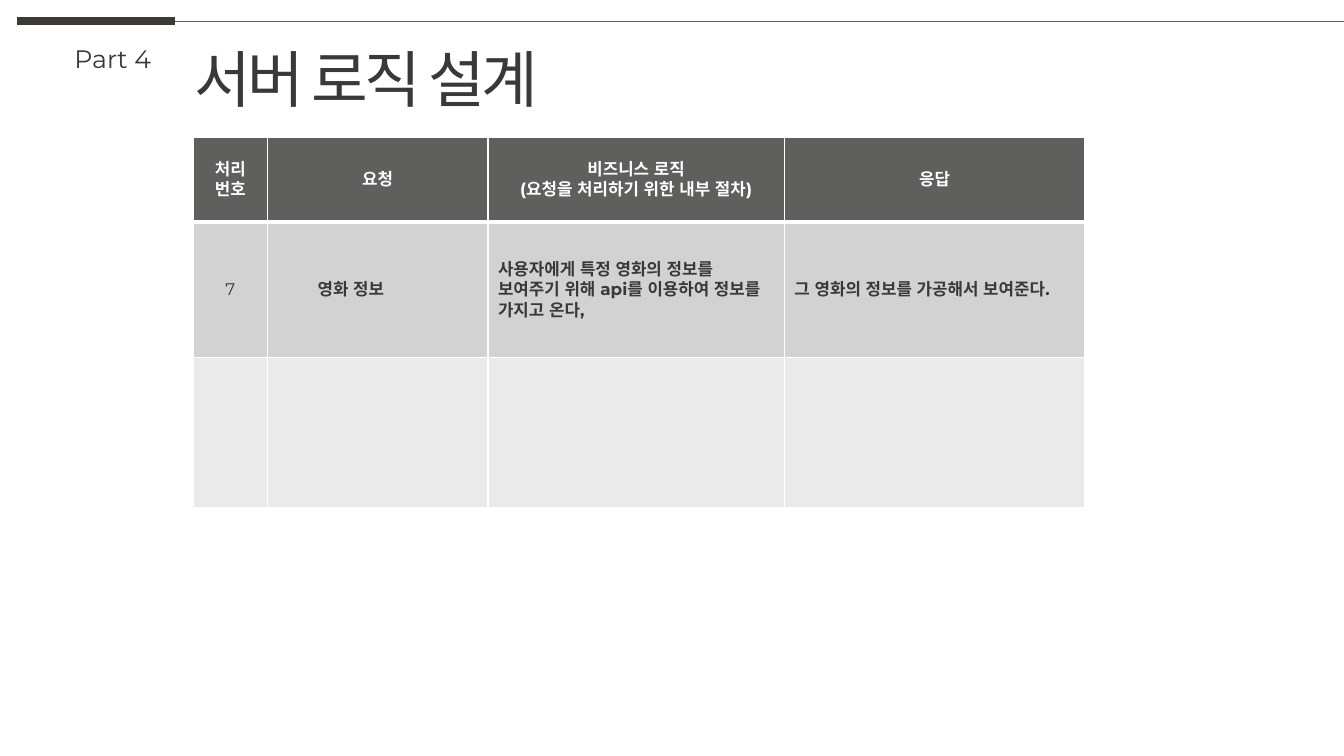
"""Build the server logic design slide with its request table."""
from lxml.etree import SubElement
from pptx import Presentation
from pptx.dml.color import RGBColor
from pptx.enum.shapes import MSO_CONNECTOR
from pptx.enum.text import MSO_ANCHOR, MSO_AUTO_SIZE, PP_ALIGN
from pptx.oxml import parse_xml
from pptx.oxml.ns import nsdecls, qn
from pptx.util import Inches, Pt

FONT = "Montserrat"
WHITE = RGBColor(0xFF, 0xFF, 0xFF)
INK = RGBColor(0x3A, 0x38, 0x38)
BROWN = RGBColor(0x3D, 0x3A, 0x35)
GREY = RGBColor(0x5F, 0x5F, 0x5D)
ROW_FILLS = [GREY, RGBColor(0xD2, 0xD2, 0xD2), RGBColor(0xEA, 0xEA, 0xEA)]
COLUMN_WIDTHS = [0.73, 2.19, 2.94, 2.98]
ROW_HEIGHTS = [0.84, 1.35, 1.49]
ROWS = [
    ["처리 번호", "요청", "비즈니스 로직\n(요청을 처리하기 위한 내부 절차)", "응답"],
    ["7", "영화 정보",
     "사용자에게 특정 영화의 정보를 보여주기 위해 api를 이용하여 정보를 가지고 온다,",
     "그 영화의 정보를 가공해서 보여준다."],
    ["", "", "", ""],
]


def format_runs(paragraph, size, color, bold=False):
    """Apply one font to every run, Korean letters included."""
    for run in paragraph.runs:
        run.font.name = FONT
        run.font.size = Pt(size)
        run.font.bold = bold
        run.font.color.rgb = color
        SubElement(run.font._element, qn("a:ea"), typeface=FONT)


def place_text(shape, box, text, size, color):
    """Put one unwrapped line of text in a box."""
    shape.left, shape.top, shape.width, shape.height = map(Inches, box)
    text_frame = shape.text_frame
    text_frame.text = text
    text_frame.word_wrap = False
    text_frame.auto_size = MSO_AUTO_SIZE.SHAPE_TO_FIT_TEXT
    text_frame.vertical_anchor = MSO_ANCHOR.TOP
    paragraph = text_frame.paragraphs[0]
    paragraph.alignment = PP_ALIGN.LEFT
    format_runs(paragraph, size, color)


def add_rule(slide, left, right, top, color, width):
    """Draw a horizontal rule."""
    rule = slide.shapes.add_connector(
        MSO_CONNECTOR.STRAIGHT, Inches(left), Inches(top), Inches(right), Inches(top))
    rule.line.color.rgb = color
    rule.line.width = Pt(width)
    SubElement(rule._element.spPr, qn("a:effectLst"))


def add_heading(slide, left, top, right):
    """Add the rules, the part label and the title."""
    split = left + 1.57
    add_rule(slide, left, split, top, BROWN, 6)
    add_rule(slide, split, right, top, GREY, 0.5)
    title = slide.shapes.title
    place_text(title, (left + 1.66, top + 0.15, 3.91, 0.84), "서버 로직 설계", 44, INK)
    title.text_frame.paragraphs[0].runs[0].font._element.set("spc", "-300")
    label = slide.shapes.add_textbox(0, 0, 0, 0)
    place_text(label, (left + 0.47, top + 0.17, 0.99, 0.4), "Part 4", 18, BROWN)


def set_borders(cell, top, bottom):
    """Give a cell white borders, with top and bottom widths in points."""
    properties = cell._tc.get_or_add_tcPr()
    widths = {"lnL": 1, "lnR": 1, "lnT": top, "lnB": bottom}
    for index, (side, width) in enumerate(widths.items()):
        properties.insert(index, parse_xml(
            f'<a:{side} {nsdecls("a")} w="{Pt(width)}"><a:solidFill>'
            f'<a:srgbClr val="{WHITE}"/></a:solidFill></a:{side}>'))


def fill_cell(cell, text, row, column):
    """Write and format one table cell."""
    header = row == 0
    cell.text = text
    cell.vertical_anchor = MSO_ANCHOR.MIDDLE
    cell.fill.solid()
    cell.fill.fore_color.rgb = ROW_FILLS[row]
    set_borders(cell, 3 if row == 1 else 1, 3 if header else 1)
    for paragraph in cell.text_frame.paragraphs:
        centred = header or column == 0
        paragraph.alignment = PP_ALIGN.CENTER if centred else PP_ALIGN.LEFT
        if column == 1 and not header:
            paragraph._p.get_or_add_pPr().set("marL", str(Inches(0.4)))
        format_runs(paragraph, 12, WHITE if header else INK, header or column > 0)


def add_logic_table(slide, left, top):
    """Add the table of requests, logic and responses."""
    table = slide.shapes.add_table(
        len(ROWS), len(COLUMN_WIDTHS), Inches(left), Inches(top),
        Inches(sum(COLUMN_WIDTHS)), Inches(sum(ROW_HEIGHTS))).table
    for column, width in zip(table.columns, COLUMN_WIDTHS):
        column.width = Inches(width)
    for row, height in zip(table.rows, ROW_HEIGHTS):
        row.height = Inches(height)
    for row, texts in enumerate(ROWS):
        for column, text in enumerate(texts):
            fill_cell(table.cell(row, column), text, row, column)


def main():
    """Build and save the presentation."""
    presentation = Presentation()
    presentation.slide_width = Inches(13.33)
    presentation.slide_height = Inches(7.5)
    slide = presentation.slides.add_slide(presentation.slide_layouts[5])
    add_heading(slide, 0.17, 0.21, 13.33)
    add_logic_table(slide, 1.92, 1.36)
    presentation.save("out.pptx")


if __name__ == "__main__":
    main()
